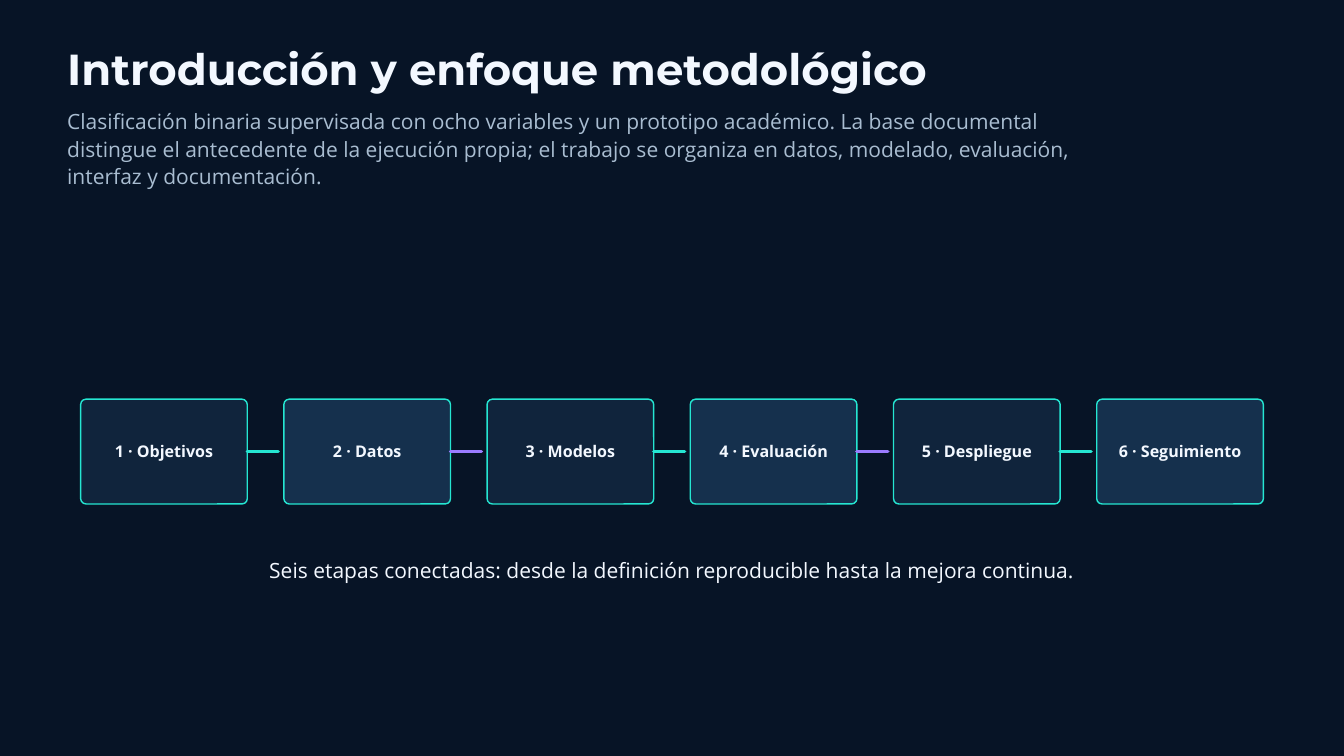
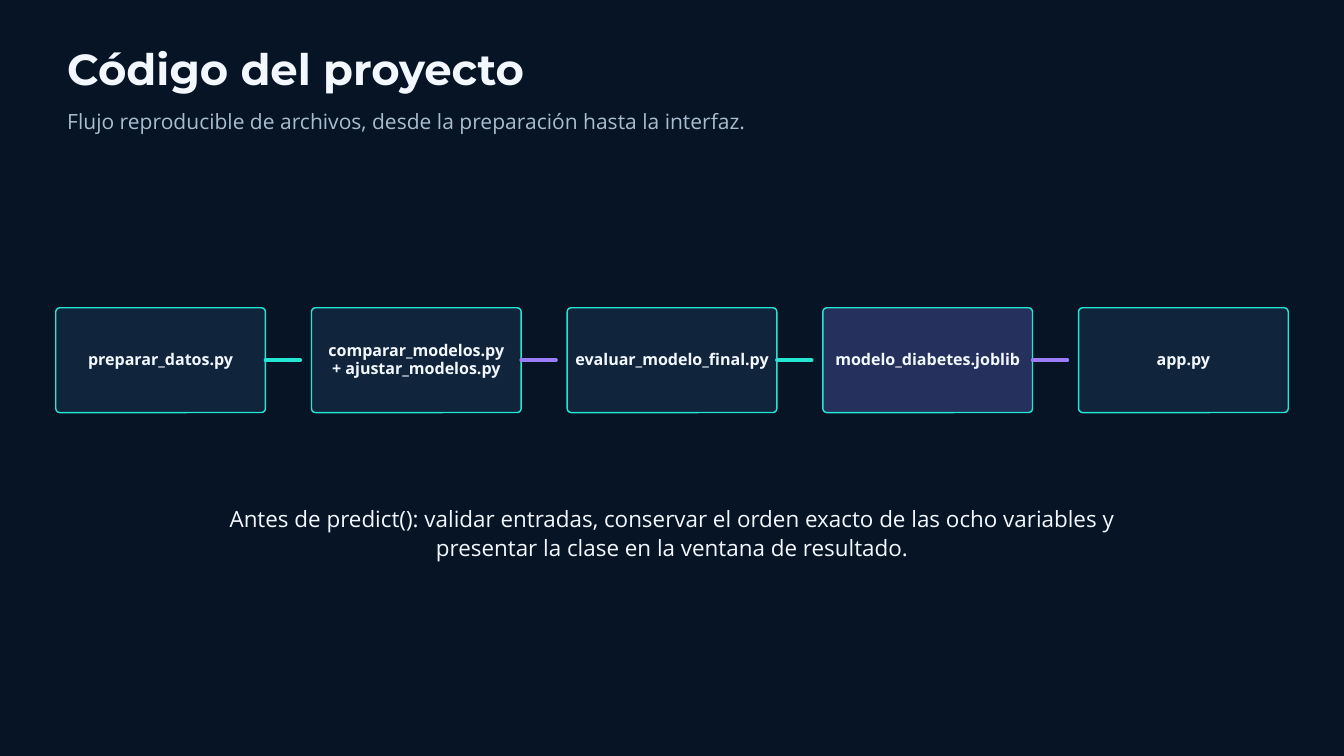
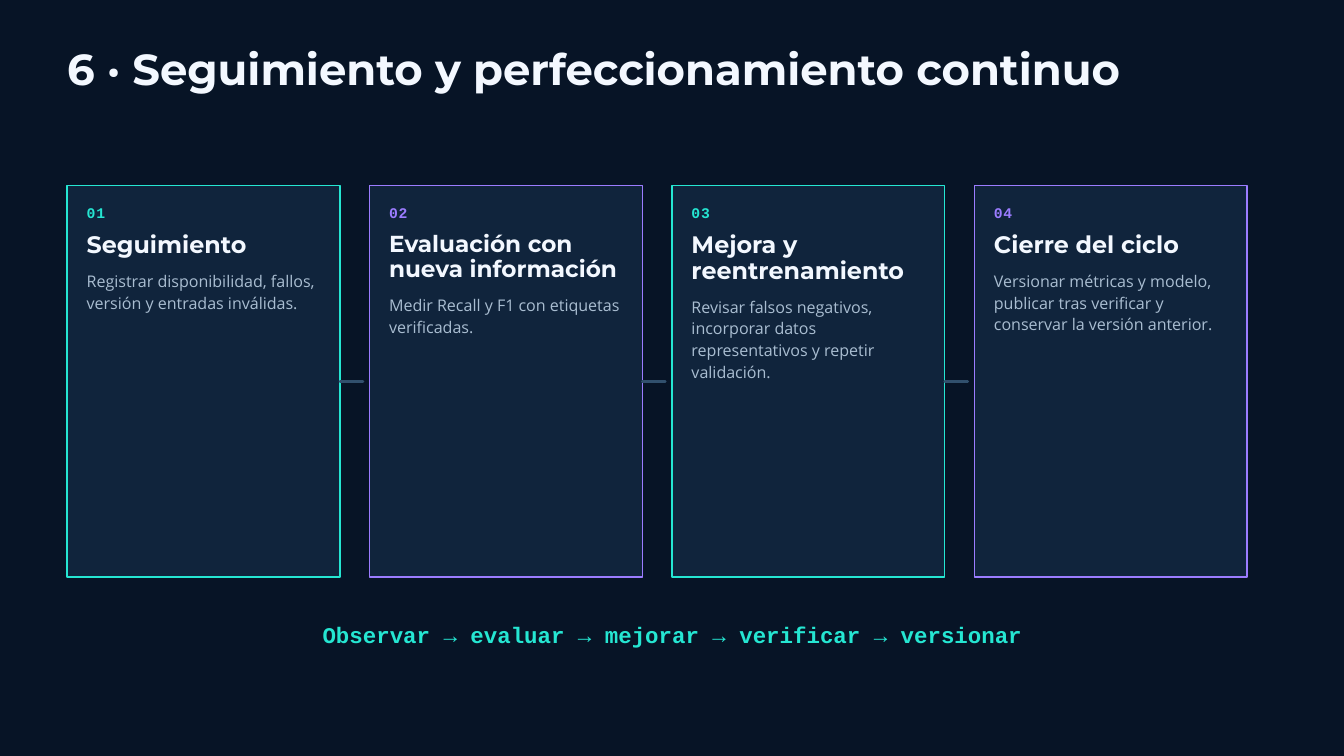
from dataclasses import dataclass, replace

from lxml.etree import SubElement
from pptx import Presentation
from pptx.dml.color import RGBColor
from pptx.enum.shapes import MSO_CONNECTOR, MSO_SHAPE
from pptx.enum.text import MSO_ANCHOR, MSO_AUTO_SIZE, PP_ALIGN
from pptx.oxml.ns import qn
from pptx.util import Inches, Pt

COLUMNS, ROWS = 20, 11.25


@dataclass(frozen=True)
class Type:
    """Font, size, leading and colour of one kind of text."""
    font: str
    size: float
    leading: float
    color: str
    bold: bool = False
    tracking: float = 0


class Theme:
    """Colours and type sizes of the presentation."""
    night, panel, panel_alt, panel_violet = "071426", "10243C", "15304D", "25305C"
    teal, violet, slate = "25E6D2", "9B7CFF", "31506D"
    white, mist = "F3F8FF", "A9BDD1"
    accents = (teal, violet)
    border, stage_link, card_link = 1.5, 3.75, 3
    title = Type("Montserrat", 46.5, 48.8, white, True)
    lead = Type("Open Sans", 22.5, 29.2, mist)
    stage = Type("Open Sans", 17.2, 19, white, True)
    summary = Type("Open Sans", 22.5, 31.5, white)
    advice = Type("Open Sans", 24, 31.2, white)
    number = Type("Courier New", 15.8, 22, teal, True, 0.8)
    heading = Type("Montserrat", 25.5, 27.5, white, True)
    heading_tight = Type("Montserrat", 24.8, 26.7, white, True)
    body = Type("Open Sans", 17.2, 23.3, mist)
    cycle = Type("Courier New", 24, 33.6, teal, True)


class Deck:
    """Draws styled elements on the current slide, measured in grid columns and rows."""

    def __init__(self, theme):
        """Open an empty presentation with the grid's size."""
        self.theme = theme
        self.file = Presentation()
        self.file.slide_width = Inches(COLUMNS)
        self.file.slide_height = Inches(ROWS)
        self.slide = None

    def grid(self, *lengths):
        """Turn columns or rows into slide lengths."""
        return [round(self.file.slide_width * length / COLUMNS) for length in lengths]

    def new_slide(self, title, lead=None, lead_rows=0.4):
        """Start a slide with its background, title and optional lead."""
        self.slide = self.file.slides.add_slide(self.file.slide_layouts[6])
        background = self.slide.background.fill
        background.solid()
        background.fore_color.rgb = RGBColor.from_string(self.theme.night)
        self.text((1, 0.73, 18, 0.69), title, self.theme.title)
        if lead:
            self.text((1, 1.59, 15.62, lead_rows), lead, self.theme.lead)

    def set_lines(self, frame, lines, style, align, inset=0):
        """Fill a text frame with one styled run per line."""
        frame.word_wrap = True
        frame.margin_left = frame.margin_right = Inches(inset)
        frame.margin_top = frame.margin_bottom = Inches(inset)
        for index, line in enumerate(lines):
            paragraph = frame.add_paragraph() if index else frame.paragraphs[0]
            paragraph.alignment = align
            paragraph.line_spacing = Pt(style.leading)
            run = paragraph.add_run()
            run.text = line
            run.font.name = style.font
            run.font.size = Pt(style.size)
            run.font.bold = style.bold
            run.font.color.rgb = RGBColor.from_string(style.color)
            if style.tracking:
                run.font._element.set("spc", str(round(style.tracking * 100)))

    def text(self, area, content, style, align=PP_ALIGN.LEFT):
        """Place free text without insets."""
        frame = self.slide.shapes.add_textbox(*self.grid(*area)).text_frame
        self.set_lines(frame, [content], style, align)
        frame.auto_size = MSO_AUTO_SIZE.SHAPE_TO_FIT_TEXT

    def panel(self, area, fill, border, radius=0):
        """Draw a bordered panel, rounded when a radius is given."""
        kind = MSO_SHAPE.ROUNDED_RECTANGLE if radius else MSO_SHAPE.RECTANGLE
        panel = self.slide.shapes.add_shape(kind, *self.grid(*area))
        if radius:
            panel.adjustments[0] = radius / min(area[2:])
        panel.shadow.inherit = False
        panel.fill.solid()
        panel.fill.fore_color.rgb = RGBColor.from_string(fill)
        panel.line.color.rgb = RGBColor.from_string(border)
        panel.line.width = Pt(self.theme.border)
        return panel

    def link(self, panel, length, color, width):
        """Draw a short round-ended line from the panel's right side."""
        x = panel.left + panel.width
        y = panel.top + panel.height // 2
        link = self.slide.shapes.add_connector(
            MSO_CONNECTOR.STRAIGHT, x, y, x + self.grid(length)[0], y)
        link.begin_connect(panel, 3)
        link.line.color.rgb = RGBColor.from_string(color)
        link.line.width = Pt(width)
        properties = link._element.spPr
        properties.find(qn("a:ln")).set("cap", "rnd")
        SubElement(properties, qn("a:effectLst"))

    def stages(self, labels, fills, left, top, width, radius, link_length):
        """Draw a centred row of linked stages."""
        pitch = (COLUMNS - 2 * left - width) / (len(labels) - 1)
        for index, (label, fill) in enumerate(zip(labels, fills)):
            area = (left + index * pitch, top, width, 1.56)
            stage = self.panel(area, fill, self.theme.teal, radius)
            self.set_lines(stage.text_frame, label.split("\n"), self.theme.stage,
                           PP_ALIGN.CENTER, 0.06)
            stage.text_frame.vertical_anchor = MSO_ANCHOR.MIDDLE
            if index < len(labels) - 1:
                self.link(stage, link_length, self.theme.accents[index % 2],
                          self.theme.stage_link)

    def card(self, index, heading, heading_style, heading_lines, body, body_lines):
        """Draw a numbered card and return its panel."""
        left, accent = 1 + 4.5 * index, self.theme.accents[index % 2]
        panel = self.panel((left, 2.76, 4.06, 5.83), self.theme.panel, accent)
        inner, width = left + 0.29, 3.48
        heading_height = heading_lines * heading_style.leading / 72
        self.text((inner, 2.99, width, 0.28), f"{index + 1:02}",
                  replace(self.theme.number, color=accent))
        self.text((inner, 3.46, width, heading_height), heading, heading_style)
        self.text((inner, 3.62 + heading_height, width,
                   body_lines * self.theme.body.leading / 72), body, self.theme.body)
        return panel


def method_slide(deck):
    """Build the six-stage method."""
    theme = deck.theme
    deck.new_slide(
        "Introducción y enfoque metodológico",
        "Clasificación binaria supervisada con ocho variables y un prototipo académico. "
        "La base documental distingue el antecedente de la ejecución propia; el trabajo "
        "se organiza en datos, modelado, evaluación, interfaz y documentación.", 1.21)
    names = ("Objetivos", "Datos", "Modelos", "Evaluación", "Despliegue", "Seguimiento")
    labels = [f"{number} · {name}" for number, name in enumerate(names, 1)]
    deck.stages(labels, (theme.panel, theme.panel_alt) * 3,
                left=1.2, top=5.94, width=2.48, radius=0.08, link_length=0.46)
    deck.text((3.44, 8.24, 13.12, 0.42),
              "Seis etapas conectadas: desde la definición reproducible hasta la mejora continua.",
              theme.summary, PP_ALIGN.CENTER)


def code_slide(deck):
    """Build the flow of project files."""
    theme = deck.theme
    deck.new_slide("Código del proyecto",
                   "Flujo reproducible de archivos, desde la preparación hasta la interfaz.")
    files = ("preparar_datos.py", "comparar_modelos.py\n+ ajustar_modelos.py",
             "evaluar_modelo_final.py", "modelo_diabetes.joblib", "app.py")
    fills = [theme.panel_violet if name.endswith(".joblib") else theme.panel
             for name in files]
    deck.stages(files, fills,
                left=0.83, top=4.58, width=3.12, radius=0.06, link_length=0.52)
    deck.text((2.71, 7.48, 14.58, 0.84),
              "Antes de predict(): validar entradas, conservar el orden exacto de las ocho "
              "variables y presentar la clase en la ventana de resultado.",
              theme.advice, PP_ALIGN.CENTER)


def improvement_slide(deck):
    """Build the four cards of the improvement cycle."""
    theme = deck.theme
    deck.new_slide("6 · Seguimiento y perfeccionamiento continuo")
    steps = (
        ("Seguimiento", theme.heading, 1,
         "Registrar disponibilidad, fallos, versión y entradas inválidas.", 2),
        ("Evaluación con nueva información", theme.heading_tight, 2,
         "Medir Recall y F1 con etiquetas verificadas.", 2),
        ("Mejora y reentrenamiento", theme.heading, 2,
         "Revisar falsos negativos, incorporar datos representativos y repetir validación.", 4),
        ("Cierre del ciclo", theme.heading, 1,
         "Versionar métricas y modelo, publicar tras verificar y conservar la versión anterior.", 3),
    )
    for index, step in enumerate(steps):
        panel = deck.card(index, *step)
        if index < len(steps) - 1:
            deck.link(panel, 0.34, theme.slate, theme.card_link)
    deck.text((3.44, 9.17, 13.12, 0.44),
              "Observar → evaluar → mejorar → verificar → versionar",
              theme.cycle, PP_ALIGN.CENTER)


def main():
    """Build and save the presentation."""
    deck = Deck(Theme())
    method_slide(deck)
    code_slide(deck)
    improvement_slide(deck)
    deck.file.save("out.pptx")


if __name__ == "__main__":
    main()
